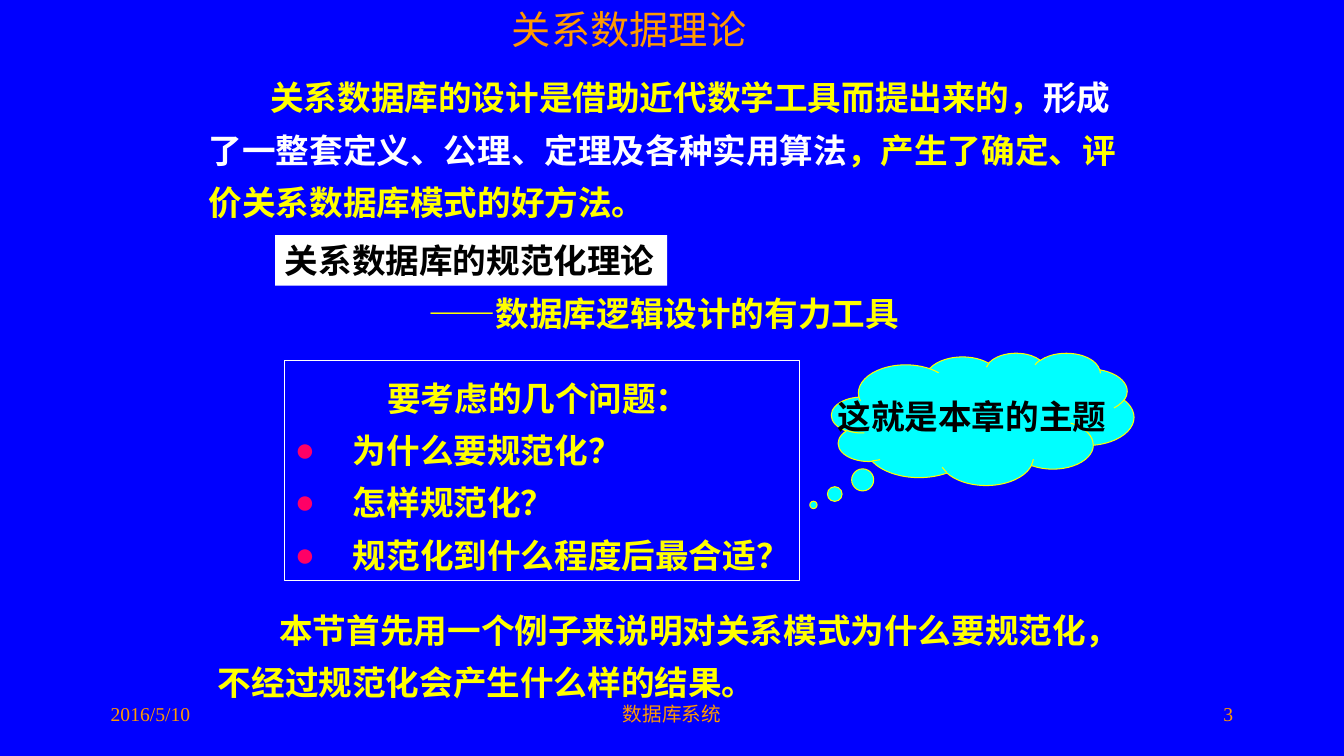
from pptx import Presentation
from pptx.dml.color import RGBColor
from pptx.enum.lang import MSO_LANGUAGE_ID
from pptx.enum.shapes import MSO_SHAPE
from pptx.enum.text import MSO_ANCHOR, MSO_AUTO_SIZE, PP_ALIGN
from pptx.oxml.ns import qn
from pptx.util import Pt
from lxml.etree import SubElement

BLUE, ORANGE, YELLOW, WHITE = "0000FF", "FF9900", "FFFF00", "FFFFFF"
BLACK, CYAN, PINK = "000000", "00FFFF", "FF0066"
FONT = "Times New Roman"
LEFT, CENTER, RIGHT = PP_ALIGN.LEFT, PP_ALIGN.CENTER, PP_ALIGN.RIGHT
FIRST_INDENT, BULLET_INDENT, HEADING_INDENT = 44, 41.5, 66

TITLE = "关系数据理论"
FOOTERS = [
    ("2016/5/10", 72, 200, LEFT),
    ("数据库系统", 328, 304, CENTER),
    ("3", 688, 200, RIGHT),
]
INTRO = [
    ("关系数据库的设计是借助近代数学工具而提出来的，", YELLOW),
    ("形成了一整套定义、公理、定理及各种实用算法", WHITE),
    ("，产生了确定、评价关系数据库模式的好方法。", YELLOW),
]
THEORY = "关系数据库的规范化理论"
TOOL = "——数据库逻辑设计的有力工具"
ISSUES_HEADING = "要考虑的几个问题："
ISSUES = ["为什么要规范化？", "怎样规范化？", "规范化到什么程度后最合适？"]
THEME = "这就是本章的主题"
CLOSING = ["本节首先用一个例子来说明对关系模式为什么要规范化，", "不经过规范化会产生什么样的结果。"]


def rgb(color):
    return RGBColor.from_string(color)


def place(sp, left, top, width, height):
    sp.left, sp.top, sp.width, sp.height = Pt(left), Pt(top), Pt(width), Pt(height)


def add_box(s, left, top, width, height, wrap=True):
    sp = s.shapes.add_textbox(Pt(left), Pt(top), Pt(width), Pt(height))
    sp.text_frame.word_wrap = wrap
    return sp


def add_panel(s, kind, left, top, width, height, fill=None, line=None):
    sp = s.shapes.add_shape(kind, Pt(left), Pt(top), Pt(width), Pt(height))
    sp.shadow.inherit = False
    if fill:
        sp.fill.solid()
        sp.fill.fore_color.rgb = rgb(fill)
    else:
        sp.fill.background()
    if line:
        sp.line.color.rgb = rgb(line)
        sp.line.width = Pt(0.75)
    else:
        sp.line.fill.background()
    sp.text_frame.vertical_anchor = MSO_ANCHOR.TOP
    return sp


def write(p, runs, size=24, bold=True, align=LEFT, spacing=1.0, margin=0, indent=0, bullet=None):
    p.alignment, p.line_spacing = align, spacing
    for text, color in runs:
        r = p.add_run()
        r.text = text
        r.font.name, r.font.size, r.font.bold = FONT, Pt(size), bold
        r.font.color.rgb = rgb(color)
        r.font.language_id = MSO_LANGUAGE_ID.SIMPLIFIED_CHINESE
    pPr = p._p.get_or_add_pPr()
    pPr.set("marL", str(Pt(margin)))
    pPr.set("indent", str(Pt(indent)))
    if bullet:
        buClr = SubElement(pPr, qn("a:buClr"))
        SubElement(buClr, qn("a:srgbClr")).set("val", bullet)
        SubElement(pPr, qn("a:buFont")).set("typeface", FONT)
        SubElement(pPr, qn("a:buChar")).set("char", "●")


def main():
    prs = Presentation()
    prs.slide_width, prs.slide_height = Pt(960), Pt(540)
    s = prs.slides.add_slide(prs.slide_layouts[5])
    s.background.fill.solid()
    s.background.fill.fore_color.rgb = rgb(BLUE)

    title = s.shapes.title
    place(title, 358.5, 0, 184.5, 41)
    tf = title.text_frame
    tf.auto_size, tf.word_wrap = MSO_AUTO_SIZE.NONE, False
    tf.vertical_anchor = MSO_ANCHOR.TOP
    write(tf.paragraphs[0], [(TITLE, ORANGE)], size=28, bold=False)

    for text, left, width, align in FOOTERS:
        sp = add_box(s, left, 498, width, 30)
        write(sp.text_frame.paragraphs[0], [(text, ORANGE)], size=14, bold=False, align=align)

    sp = add_box(s, 142, 43, 668, 121)
    write(sp.text_frame.paragraphs[0], INTRO, spacing=1.3, indent=FIRST_INDENT)

    sp = add_panel(s, MSO_SHAPE.RECTANGLE, 196.5, 168, 280, 36, fill=WHITE)
    sp.text_frame.word_wrap = False
    write(sp.text_frame.paragraphs[0], [(THEORY, BLACK)])

    sp = add_box(s, 299, 206, 353, 36, wrap=False)
    write(sp.text_frame.paragraphs[0], [(TOOL, YELLOW)])

    sp = add_panel(s, MSO_SHAPE.RECTANGLE, 203.5, 257.5, 367.5, 157.5, line=WHITE)
    tf = sp.text_frame
    tf.word_wrap, tf.margin_right = True, 0
    write(tf.paragraphs[0], [(ISSUES_HEADING, YELLOW)], spacing=1.3, indent=HEADING_INDENT)
    for issue in ISSUES:
        write(tf.add_paragraph(), [(issue, YELLOW)], spacing=1.3,
              margin=BULLET_INDENT, indent=-BULLET_INDENT, bullet=PINK)

    sp = add_panel(s, MSO_SHAPE.CLOUD_CALLOUT, 594, 252, 216, 94.5, fill=CYAN, line=YELLOW)
    sp.adjustments[0], sp.adjustments[1] = -0.56, 0.65
    tf = sp.text_frame
    tf.word_wrap, tf.vertical_anchor = False, MSO_ANCHOR.MIDDLE
    write(tf.paragraphs[0], [(THEME, BLACK)], align=CENTER)

    sp = add_box(s, 148.5, 432, 672, 74)
    tf = sp.text_frame
    write(tf.paragraphs[0], [(CLOSING[0], YELLOW)], indent=FIRST_INDENT)
    write(tf.add_paragraph(), [(CLOSING[1], YELLOW)], spacing=1.3)

    prs.save("out.pptx")


if __name__ == "__main__":
    main()
